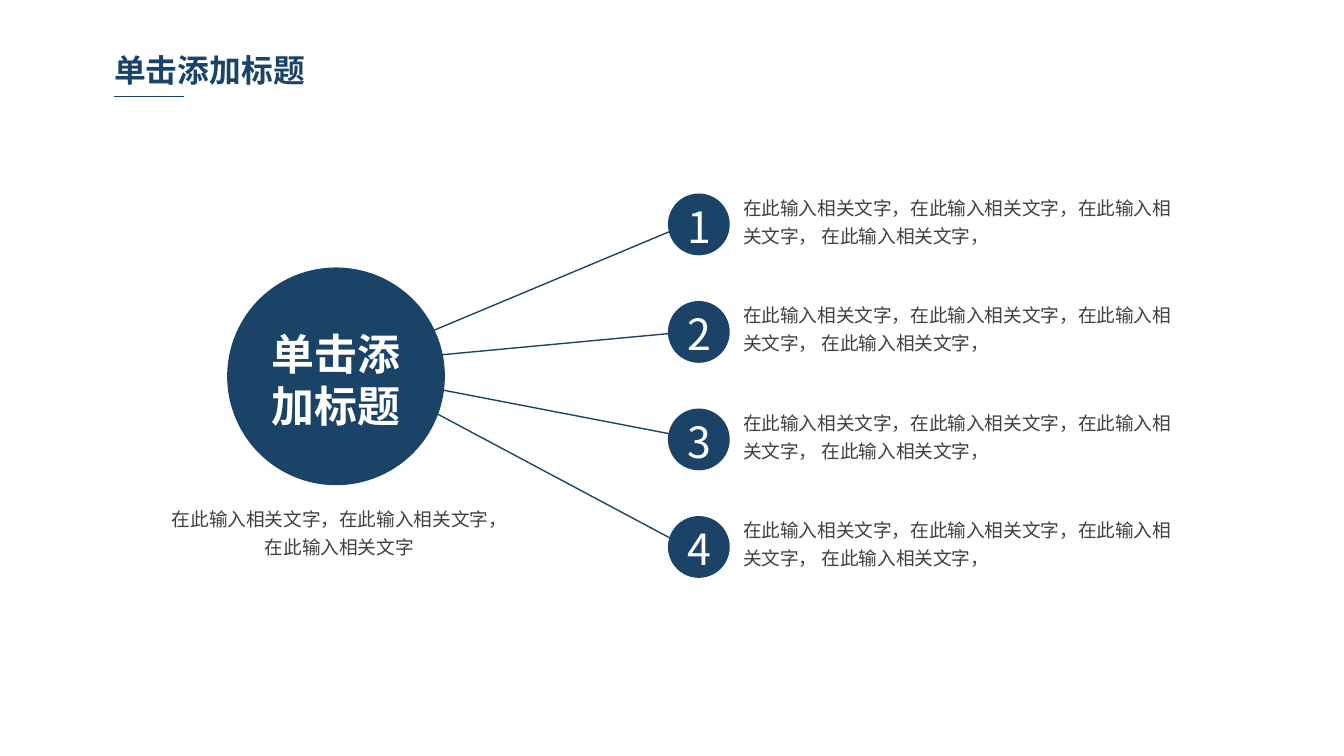
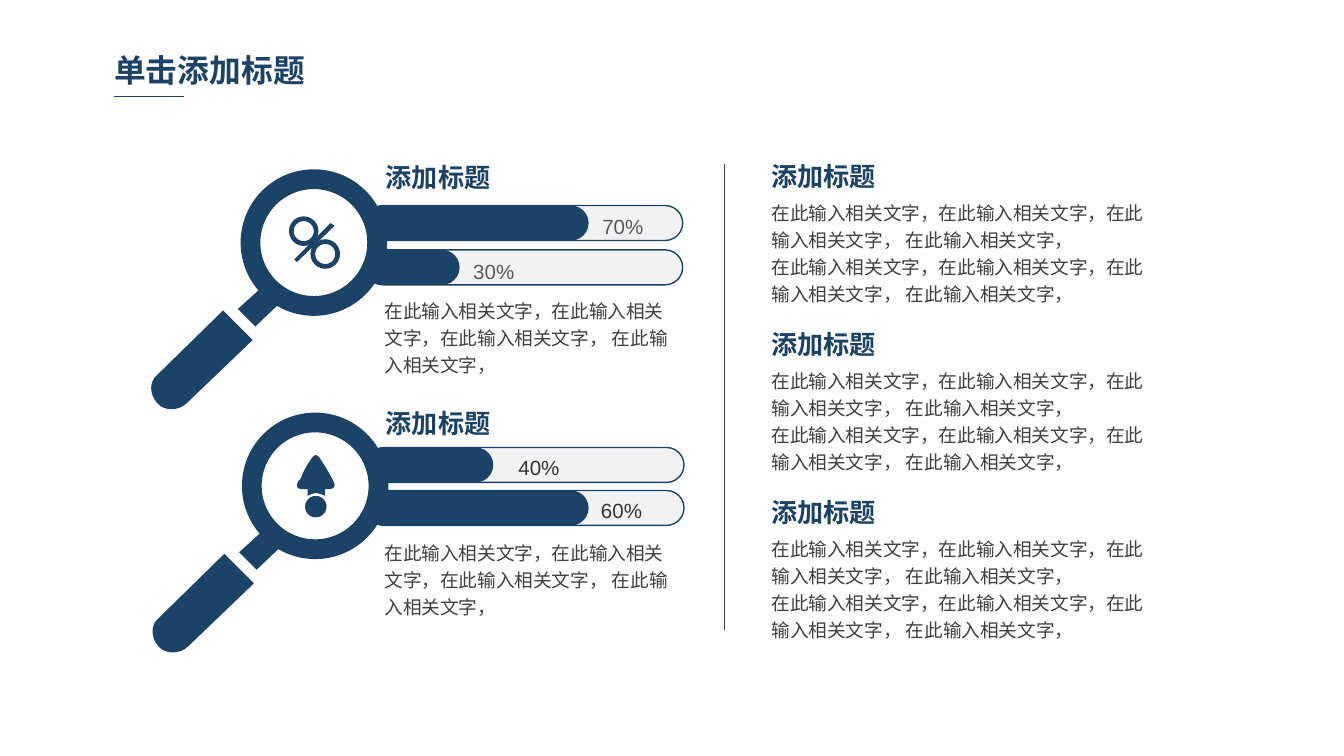
"""Builds two slides: a hub with four numbered points, and magnifiers with progress bars."""
from lxml.etree import SubElement
from pptx import Presentation
from pptx.dml.color import RGBColor
from pptx.enum.shapes import MSO_CONNECTOR, MSO_SHAPE
from pptx.enum.text import MSO_AUTO_SIZE, PP_ALIGN
from pptx.oxml.ns import qn
from pptx.util import Inches, Pt

NAVY, WHITE, GREY, PALE = "1B4367", "FFFFFF", "404040", "F2F2F2"
CJK, LATIN = "Noto Sans CJK SC", "Arial"
TIGHT = (0.07, 0.04)
LOOSE = (0.1, 0.05)

TITLE = "单击添加标题"
HEADING = "添加标题"
PHRASE = "在此输入相关文字"
BODY = f"{PHRASE}，{PHRASE}，{PHRASE}， {PHRASE}，"
CAPTION = "，".join([PHRASE] * 3)

HUB_TEXT = ["单击添", "加标题"]
POINTS = [("1", BODY), ("2", BODY), ("3", BODY), ("4", BODY)]
SPOKES = [(2.65, 2.7, 5.11, 1.67), (2.64, 2.7, 5.11, 2.47),
          (2.71, 2.79, 5.2, 3.27), (2.71, 2.79, 5.11, 4.07)]

PANELS = [
    dict(heading_y=1.16, body_y=2.16, track_x=2.72, label_dy=-0.02, color="595959",
         bars=[("70%", 1.53, 1.66, 4.37, 0.53), ("30%", 1.86, 0.7, 3.41, 0.53)]),
    dict(heading_y=2.99, body_y=3.96, track_x=2.73, label_dy=-0.03, color="333333",
         bars=[("40%", 3.33, 0.95, 3.65, 0.72), ("60%", 3.65, 1.66, 4.36, 0.53)]),
]
SECTIONS = [(HEADING, [BODY, BODY])] * 3

NECK = [(2.11, 2.23), (1.9, 2.43), (1.77, 2.3), (1.99, 2.1)]
GRIP = [(1.66, 2.31), (1.17, 2.79), (1.11, 2.84, 1.11, 2.93, 1.17, 3),
        (1.22, 3.06, 1.33, 3.06, 1.39, 3), (1.88, 2.53)]
SLASH = [(2.49, 1.68), (2.21, 1.95), (2.19, 1.93), (2.46, 1.66)]
ARROW = [(2.47, 3.56), (2.45, 3.52, 2.42, 3.47, 2.4, 3.44), (2.38, 3.41),
         (2.36, 3.38, 2.34, 3.38, 2.32, 3.41), (2.3, 3.44),
         (2.28, 3.47, 2.25, 3.52, 2.24, 3.56), (2.22, 3.58),
         (2.2, 3.62, 2.21, 3.64, 2.25, 3.64), (2.29, 3.64), (2.29, 3.69),
         (2.31, 3.68, 2.33, 3.67, 2.35, 3.67), (2.37, 3.67, 2.4, 3.68, 2.42, 3.69),
         (2.42, 3.64), (2.45, 3.64), (2.49, 3.64, 2.5, 3.61, 2.48, 3.58)]


def rgb(color):
    return RGBColor.from_string(color)


def paint(sp, fill, line=None):
    sp.shadow.inherit = False
    sp.fill.solid()
    sp.fill.fore_color.rgb = rgb(fill)
    if line:
        sp.line.color.rgb = rgb(line)
        sp.line.width = Pt(0.75)
    else:
        sp.line.fill.background()
    return sp


def add_preset(shapes, kind, x, y, w, h, fill=NAVY, line=None, adj=None):
    sp = shapes.add_shape(kind, Inches(x), Inches(y), Inches(w), Inches(h))
    if adj is not None:
        sp.adjustments[0] = adj
    return paint(sp, fill, line)


def add_line(shapes, x1, y1, x2, y2, color=NAVY):
    cx = shapes.add_connector(MSO_CONNECTOR.STRAIGHT, Inches(x1), Inches(y1), Inches(x2), Inches(y2))
    cx.line.color.rgb = rgb(color)
    cx.line.width = Pt(0.75)
    SubElement(cx._element.spPr, qn("a:effectLst"))


def add_text(shapes, lines, x, y, w, h, size, color=GREY, font=CJK, bold=False,
             align=PP_ALIGN.LEFT, spacing=None, inset=TIGHT, wrap=True):
    tf = shapes.add_textbox(Inches(x), Inches(y), Inches(w), Inches(h)).text_frame
    tf.word_wrap = wrap
    tf.auto_size = MSO_AUTO_SIZE.SHAPE_TO_FIT_TEXT
    tf.margin_left = tf.margin_right = Inches(inset[0])
    tf.margin_top = tf.margin_bottom = Inches(inset[1])
    tf.text = "\n".join(lines)
    for p in tf.paragraphs:
        p.alignment = align
        if spacing:
            p.line_spacing = spacing
        p.font.size, p.font.bold, p.font.name = Pt(size), bold, font
        p.font.color.rgb = rgb(color)
        SubElement(p._p.pPr.find(qn("a:defRPr")), qn("a:ea"), typeface=font)


def flatten(path, steps=8):
    points = [path[0]]
    for seg in path[1:]:
        if len(seg) == 2:
            points.append(seg)
            continue
        curve = [points[-1], seg[:2], seg[2:4], seg[4:]]
        for i in range(1, steps + 1):
            t = i / steps
            weights = ((1 - t) ** 3, 3 * t * (1 - t) ** 2, 3 * t * t * (1 - t), t ** 3)
            points.append(tuple(sum(k * c[axis] for k, c in zip(weights, curve)) for axis in (0, 1)))
    return points


def add_outline(shapes, path, dx=0, dy=0):
    points = [(Inches(x + dx), Inches(y + dy)) for x, y in flatten(path)]
    fb = shapes.build_freeform(*points[0])
    fb.add_line_segments(points[1:], close=True)
    paint(fb.convert_to_shape(), NAVY)


def add_magnifier(shapes, dx=0, dy=0):
    add_outline(shapes, NECK, dx, dy)
    add_preset(shapes, MSO_SHAPE.DONUT, 1.79 + dx, 1.26 + dy, 1.09, 1.09, adj=0.135)
    add_outline(shapes, GRIP, dx, dy)


def add_heading(shapes, text, x, y):
    add_text(shapes, [text], x, y, 0.94, 0.31, 14, NAVY, bold=True, wrap=False)


def add_bar(shapes, label, y, done, label_x, label_w, track_x, label_dy, color):
    group = shapes.add_group_shape().shapes
    add_preset(group, MSO_SHAPE.ROUNDED_RECTANGLE, track_x, y, 2.36, 0.26, PALE, NAVY, 0.5)
    add_preset(group, MSO_SHAPE.ROUNDED_RECTANGLE, 2.72, y, done, 0.26, adj=0.5)
    add_text(group, [label], label_x, y + label_dy, label_w, 0.32, 11, color, LATIN,
             align=PP_ALIGN.CENTER, spacing=1.2, inset=LOOSE)


def new_slide(prs):
    s = prs.slides.add_slide(prs.slide_layouts[6])
    add_text(s.shapes, [TITLE], 0.78, 0.34, 2.47, 0.36, 17, NAVY, bold=True)
    add_line(s.shapes, 0.85, 0.72, 1.37, 0.72)
    return s.shapes


def build_hub(prs):
    shapes = new_slide(prs)
    for spoke in SPOKES:
        add_line(shapes, *spoke)
    for i, (number, body) in enumerate(POINTS):
        y = 1.44 + 0.8 * i
        badge = shapes.add_group_shape().shapes
        add_preset(badge, MSO_SHAPE.OVAL, 4.97, y, 0.46, 0.46)
        add_text(badge, [number], 4.98, y, 0.45, 0.49, 23, WHITE, align=PP_ALIGN.CENTER, inset=LOOSE)
        add_text(shapes, [body], 5.46, y - 0.06, 3.4, 0.5, 10, spacing=Pt(15))
    hub = shapes.add_group_shape().shapes
    add_preset(hub, MSO_SHAPE.OVAL, 1.69, 1.99, 1.62, 1.62)
    add_text(hub, HUB_TEXT, 1.69, 2.39, 1.62, 0.88, 23, WHITE, bold=True,
             align=PP_ALIGN.CENTER, inset=LOOSE)
    add_text(shapes, [CAPTION], 1.16, 3.7, 2.73, 0.5, 10, align=PP_ALIGN.CENTER, spacing=Pt(15))


def build_magnifiers(prs):
    shapes = new_slide(prs)
    add_line(shapes, 5.39, 1.22, 5.39, 4.69, GREY)
    for panel in PANELS:
        for bar in panel["bars"]:
            add_bar(shapes, *bar, panel["track_x"], panel["label_dy"], panel["color"])
        add_heading(shapes, HEADING, 2.8, panel["heading_y"])
        add_text(shapes, [BODY], 2.79, panel["body_y"], 2.31, 0.68, 10, spacing=1.2)

    percent = shapes.add_group_shape().shapes
    add_magnifier(percent)
    for x, y in [(2.15, 1.61), (2.31, 1.78)]:
        add_preset(percent, MSO_SHAPE.DONUT, x, y, 0.22, 0.22, adj=0.16)
    add_outline(percent, SLASH)

    pointer = shapes.add_group_shape().shapes
    add_magnifier(pointer, 0.01, 1.81)
    add_outline(pointer, ARROW)
    add_preset(pointer, MSO_SHAPE.OVAL, 2.27, 3.69, 0.16, 0.16)

    for i, (heading, paragraphs) in enumerate(SECTIONS):
        y = 1.15 + 1.25 * i
        add_heading(shapes, heading, 5.67, y)
        add_text(shapes, paragraphs, 5.67, y + 0.28, 2.97, 0.88, 10, spacing=1.2)


prs = Presentation()
prs.slide_width = Inches(10)
prs.slide_height = prs.slide_width * 9 // 16
build_hub(prs)
build_magnifiers(prs)
prs.save("out.pptx")
